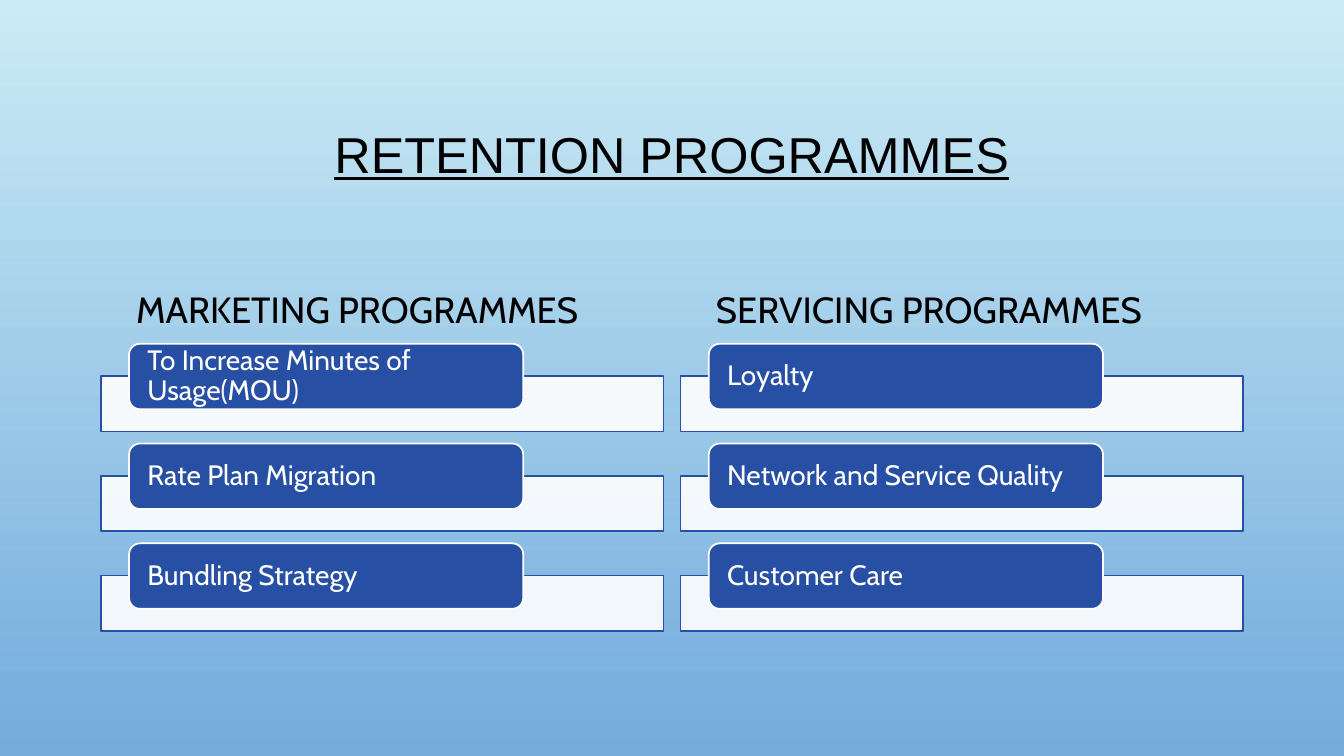
import pptx
import pptx.dml.color
import pptx.enum.shapes
import pptx.enum.text
import pptx.oxml
import pptx.oxml.ns
import pptx.util
from pptx.util import Inches

SHAPE = pptx.enum.shapes.MSO_SHAPE
ANCHOR = pptx.enum.text.MSO_ANCHOR
ALIGN = pptx.enum.text.PP_ALIGN

COLORS = {
    "sky": "CBECF5",
    "dusk": "73ABDD",
    "blue": "274FA4",
    "white": "FFFFFF",
    "black": "000000",
}

PROGRAMMES = [
    ("MARKETING PROGRAMMES",
     ["To Increase Minutes of Usage(MOU)", "Rate Plan Migration", "Bundling Strategy"]),
    ("SERVICING PROGRAMMES",
     ["Loyalty", "Network and Service Quality", "Customer Care"]),
]
HEADING_LEFTS = [1.25, 7]
COLUMN_LEFT, COLUMN_STEP = 1, 5.75
ROW_TOP, ROW_STEP = 3.41, 0.99


def rgb(name):
    return pptx.dml.color.RGBColor.from_string(COLORS[name])


class ProgrammeSlide:
    """Holds the style and the slide being built."""

    body_font = "Cabin"
    title_font = "Arial"

    def __init__(self, prs):
        self.slide = prs.slides.add_slide(prs.slide_layouts.get_by_name("Comparison"))

    def background(self, top, bottom):
        fill = self.slide.background.fill
        fill.gradient()
        fill.gradient_angle = 270
        for stop, color, position in zip(fill.gradient_stops, (top, bottom), (0, 1)):
            stop.color.rgb = rgb(color)
            stop.position = position

    def set_text(self, sp, text, size, font, color, anchor, spacing, align=ALIGN.LEFT):
        tf = sp.text_frame
        tf.text = text
        tf.word_wrap = True
        tf.auto_size = pptx.enum.text.MSO_AUTO_SIZE.NONE
        tf.vertical_anchor = anchor
        p = tf.paragraphs[0]
        p.alignment = align
        p.line_spacing = spacing
        r = p.runs[0]
        r.font.size = pptx.util.Pt(size)
        r.font.name = font
        r.font.bold = False
        r.font.color.rgb = rgb(color)
        return p

    def place(self, sp, left, top, width, height):
        sp.left, sp.top = Inches(left), Inches(top)
        sp.width, sp.height = Inches(width), Inches(height)

    def title(self, text):
        sp = self.slide.shapes.title
        self.place(sp, 1, 0.68, 11.33, 1.75)
        p = self.set_text(sp, text, 36, self.title_font, "black", ANCHOR.MIDDLE, 0.9,
                          ALIGN.CENTER)
        p.runs[0].font.underline = True

    def heading(self, sp, text, left):
        self.place(sp, left, 2.59, 5.33, 0.74)
        p = self.set_text(sp, text, 26, self.body_font, "black", ANCHOR.BOTTOM, 0.85)
        p.space_before = pptx.util.Pt(10)

    def box(self, group, kind, left, top, width, height, fill, line):
        sp = group.shapes.add_shape(
            kind, Inches(left), Inches(top), Inches(width), Inches(height))
        sp.shadow.inherit = False
        sp.fill.solid()
        sp.fill.fore_color.rgb = rgb(fill)
        sp.line.color.rgb = rgb(line)
        sp.line.width = pptx.util.Pt(1.25)
        return sp

    def item(self, group, text, left, top):
        """Add a translucent bar with a labelled tab over its upper edge."""
        bar = self.box(group, SHAPE.RECTANGLE, left, top + 0.32, 5.58, 0.55, "white", "blue")
        color = bar.element.xpath("./p:spPr/a:solidFill/a:srgbClr")[0]
        alpha = pptx.oxml.parse_xml(
            f'<a:alpha {pptx.oxml.ns.nsdecls("a")} val="90000"/>')
        color.append(alpha)
        tab = self.box(group, SHAPE.ROUNDED_RECTANGLE, left + 0.28, top, 3.91, 0.65,
                       "blue", "white")
        tf = tab.text_frame
        tf.margin_left = tf.margin_right = Inches(0.15)
        tf.margin_top = tf.margin_bottom = 0
        self.set_text(tab, text, 20, self.body_font, "white", ANCHOR.MIDDLE, 0.9)

    def column(self, items, left):
        group = self.slide.shapes.add_group_shape()
        for row, text in enumerate(items):
            self.item(group, text, left, ROW_TOP + row * ROW_STEP)

    def remove_empty_placeholders(self):
        for sp in list(self.slide.placeholders):
            if not sp.text_frame.text:
                sp.element.getparent().remove(sp.element)


def main():
    prs = pptx.Presentation()
    prs.slide_width, prs.slide_height = Inches(13.33), Inches(7.5)

    s = ProgrammeSlide(prs)
    s.background("sky", "dusk")
    s.title("RETENTION PROGRAMMES")
    headings = [s.slide.placeholders[1], s.slide.placeholders[3]]
    for i, (heading, items) in enumerate(PROGRAMMES):
        s.heading(headings[i], heading, HEADING_LEFTS[i])
        s.column(items, COLUMN_LEFT + i * COLUMN_STEP)
    s.remove_empty_placeholders()

    prs.save("out.pptx")


if __name__ == "__main__":
    main()
